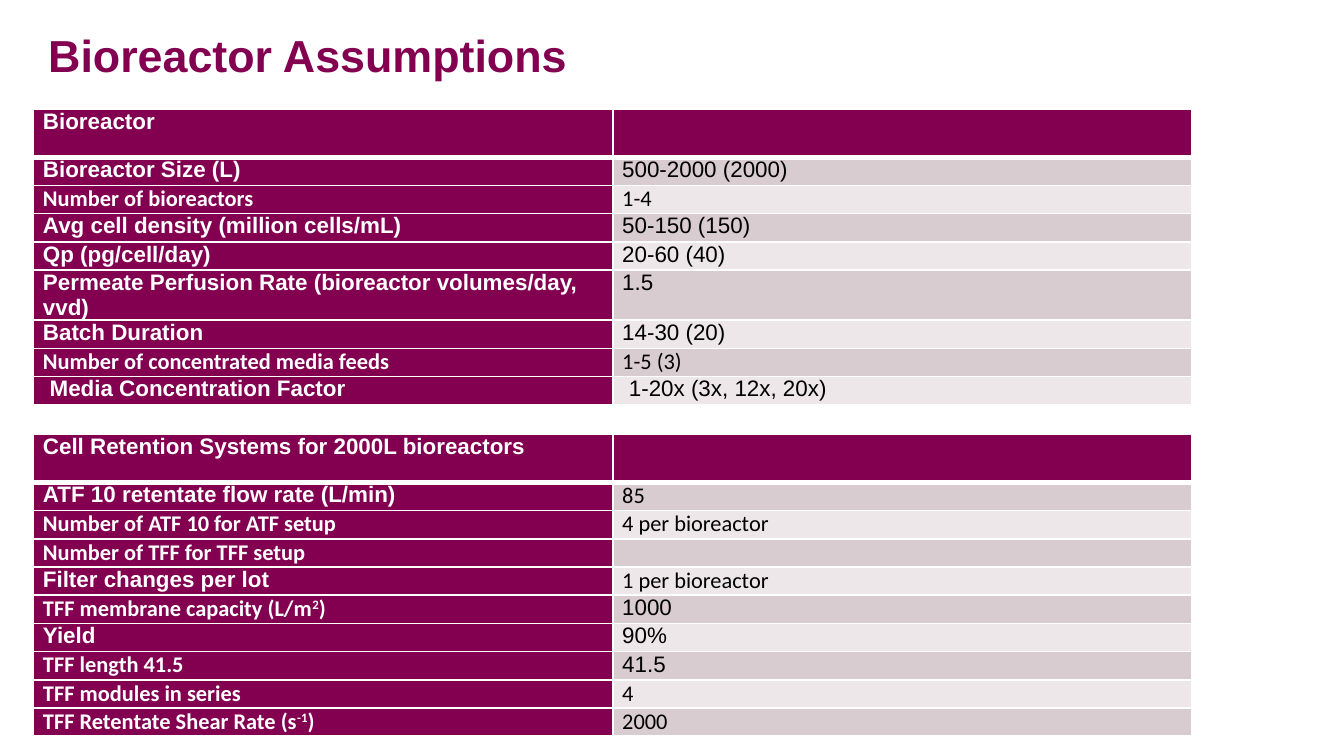
from dataclasses import dataclass

from lxml.etree import SubElement
from pptx import Presentation
from pptx.dml.color import RGBColor
from pptx.enum.text import MSO_ANCHOR
from pptx.oxml.ns import qn
from pptx.util import Inches, Pt

COLORS = {
    "plum": "830051",
    "white": "FFFFFF",
    "black": "000000",
    "dark_band": "D9CCD0",
    "light_band": "EDE7E9",
}
ARIAL, CALIBRI = "Arial", "Calibri"
SLIDE_WIDTH = 10
TABLE_LEFT, COLUMN_WIDTH = 0.25, 4.31
HEADER_HEIGHT, ROW_HEIGHT = 0.36, 0.21
CELL_MARGIN = 0.07


@dataclass(frozen=True)
class Row:
    label: str
    value: str
    label_font: str = ARIAL
    value_font: str = ARIAL
    superscript: str = ""
    indent: float = 0


@dataclass(frozen=True)
class Section:
    heading: str
    top: float
    rows: tuple[Row, ...]


SECTIONS = (
    Section("Bioreactor", 0.81, (
        Row("Bioreactor Size (L)", "500-2000 (2000)"),
        Row("Number of bioreactors", "1-4", CALIBRI, CALIBRI),
        Row("Avg cell density (million cells/mL)", "50-150 (150)"),
        Row("Qp (pg/cell/day)", "20-60 (40)"),
        Row("Permeate Perfusion Rate (bioreactor volumes/day, vvd)", "1.5"),
        Row("Batch Duration", "14-30 (20)"),
        Row("Number of concentrated media feeds", "1-5 (3)", CALIBRI, CALIBRI),
        Row("Media Concentration Factor", "1-20x (3x, 12x, 20x)", indent=0.05),
    )),
    Section("Cell Retention Systems for 2000L bioreactors", 3.23, (
        Row("ATF 10 retentate flow rate (L/min)", "85", ARIAL, CALIBRI),
        Row("Number of ATF 10 for ATF setup", "4 per bioreactor", CALIBRI, CALIBRI),
        Row("Number of TFF for TFF setup", "", CALIBRI, CALIBRI),
        Row("Filter changes per lot", "1 per bioreactor", ARIAL, CALIBRI),
        Row("TFF membrane capacity (L/m", "1000", CALIBRI, ARIAL, "2"),
        Row("Yield", "90%"),
        Row("TFF length 41.5", "41.5", CALIBRI, ARIAL),
        Row("TFF modules in series", "4", CALIBRI, CALIBRI),
        Row("TFF Retentate Shear Rate (s", "2000", CALIBRI, CALIBRI, "-1"),
    )),
)


def rgb(name: str) -> RGBColor:
    return RGBColor.from_string(COLORS[name])


def style_font(paragraph, size: float, font_name: str, color: str, bold: bool) -> None:
    font = paragraph.font
    font.size, font.name, font.bold = Pt(size), font_name, bold
    font.color.rgb = rgb(color)


def add_borders(cell, top: float, bottom: float) -> None:
    """Draw white cell edges; call before filling, as the schema puts lines first."""
    properties = cell._tc.get_or_add_tcPr()
    for tag, width in (("lnL", 1), ("lnR", 1), ("lnT", top), ("lnB", bottom)):
        line = SubElement(properties, qn(f"a:{tag}"), w=str(Pt(width)))
        fill = SubElement(line, qn("a:solidFill"))
        SubElement(fill, qn("a:srgbClr"), val=COLORS["white"])


def fill_cell(cell, text: str, font_name: str, color: str, fill: str, bold: bool,
              top: float = 1, bottom: float = 1, superscript: str = "",
              indent: float = 0) -> None:
    """Style and write a cell; a superscript is followed by a closing bracket."""
    add_borders(cell, top, bottom)
    cell.fill.solid()
    cell.fill.fore_color.rgb = rgb(fill)
    cell.margin_left = Inches(CELL_MARGIN + indent)
    cell.margin_right = Inches(CELL_MARGIN)
    cell.margin_top = cell.margin_bottom = Inches(0)
    paragraph = cell.text_frame.paragraphs[0]
    style_font(paragraph, 12, font_name, color, bold)
    if text:
        paragraph.add_run().text = text
    else:
        SubElement(paragraph._p, qn("a:endParaRPr"), sz="1200")
    if superscript:
        raised = paragraph.add_run()
        raised.text = superscript
        raised._r.get_or_add_rPr().set("baseline", "30000")
        paragraph.add_run().text = ")"


def add_section(slide, section: Section) -> None:
    count = len(section.rows)
    table = slide.shapes.add_table(
        count + 1, 2, Inches(TABLE_LEFT), Inches(section.top),
        Inches(2 * COLUMN_WIDTH), Inches(HEADER_HEIGHT + count * ROW_HEIGHT),
    ).table
    for column in table.columns:
        column.width = Inches(COLUMN_WIDTH)
    for index, table_row in enumerate(table.rows):
        table_row.height = Inches(ROW_HEIGHT if index else HEADER_HEIGHT)

    for column, heading in enumerate((section.heading, "")):
        fill_cell(table.cell(0, column), heading, ARIAL, "white", "plum", True, bottom=3)
    for index, row in enumerate(section.rows, start=1):
        top = 3 if index == 1 else 1
        band = "dark_band" if index % 2 else "light_band"
        fill_cell(table.cell(index, 0), row.label, row.label_font, "white", "plum", True,
                  top, superscript=row.superscript, indent=row.indent)
        fill_cell(table.cell(index, 1), row.value, row.value_font, "black", band, False,
                  top, indent=row.indent)


def add_title(slide, text: str) -> None:
    title = slide.shapes.add_textbox(Inches(0.26), Inches(0.16), Inches(9.59), Inches(0.55))
    frame = title.text_frame
    frame.word_wrap = True
    frame.vertical_anchor = MSO_ANCHOR.TOP
    paragraph = frame.paragraphs[0]
    style_font(paragraph, 24, ARIAL, "plum", True)
    paragraph.add_run().text = text


def main() -> None:
    presentation = Presentation()
    presentation.slide_width = Inches(SLIDE_WIDTH)
    presentation.slide_height = Inches(SLIDE_WIDTH * 9 / 16)
    slide = presentation.slides.add_slide(presentation.slide_layouts[6])
    for section in SECTIONS:
        add_section(slide, section)
    add_title(slide, "Bioreactor Assumptions")
    presentation.save("out.pptx")


if __name__ == "__main__":
    main()
